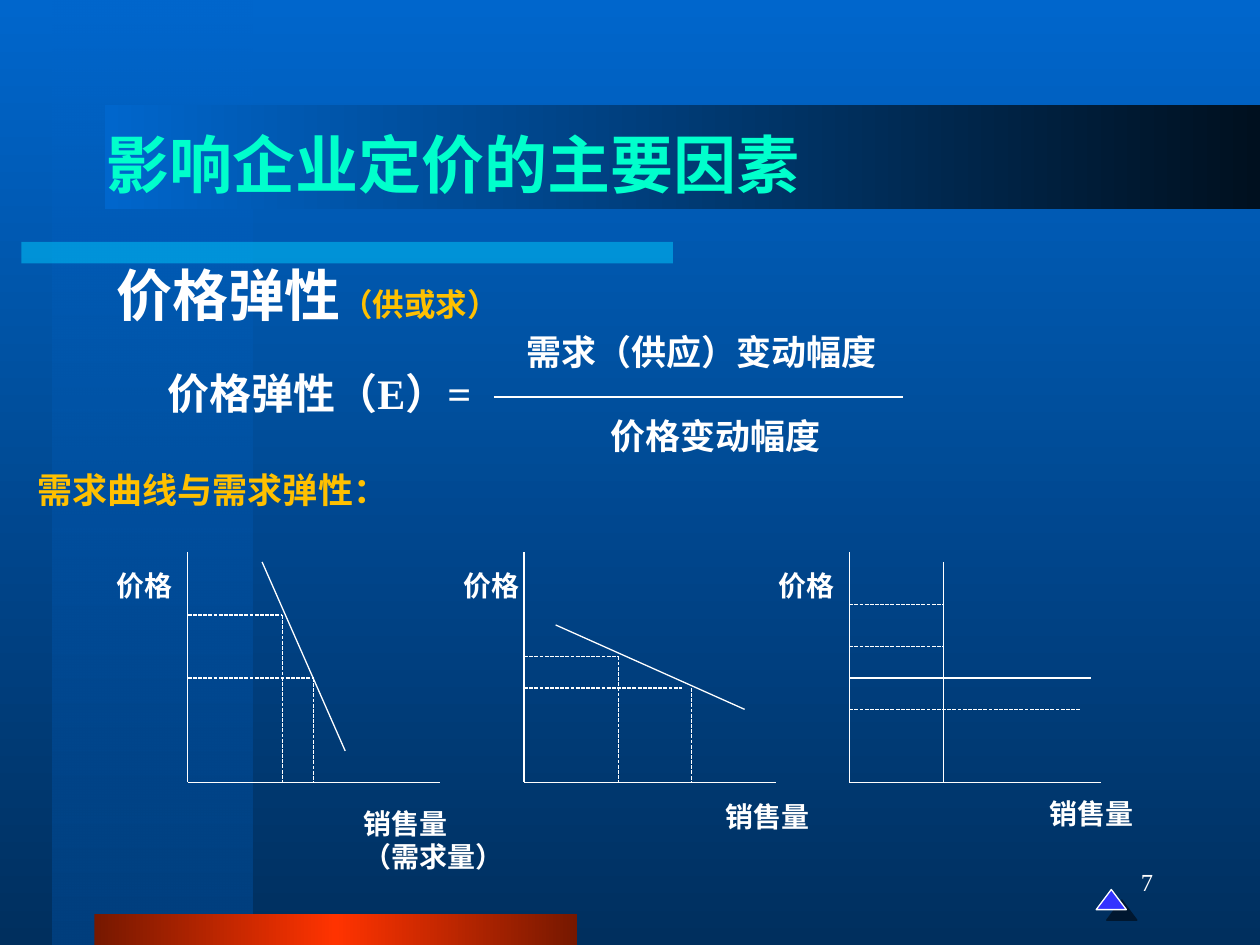
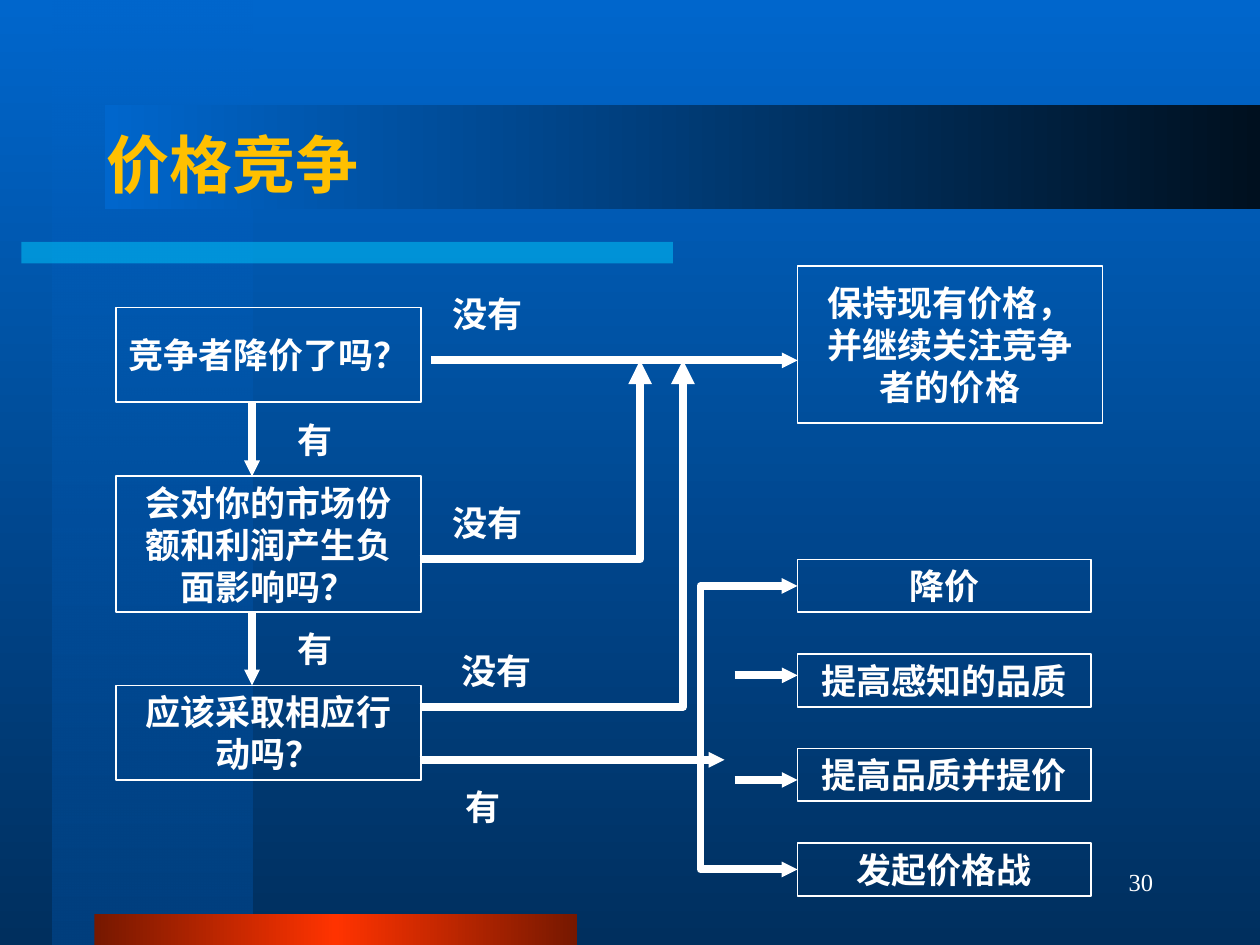
import pptx
import pptx.dml.color
import pptx.enum.dml
import pptx.enum.shapes
import pptx.enum.text
import pptx.oxml
import pptx.oxml.ns
import pptx.util
from pptx.util import Inches

WHITE, GOLD, MINT = "FFFFFF", "FFC000", "00FFCC"
SERIF, SANS, CHINESE = "Times New Roman", "Arial", "Noto Sans CJK SC"
SHAPES = pptx.enum.shapes.MSO_SHAPE
ALIGN = pptx.enum.text.PP_ALIGN
ANCHOR = pptx.enum.text.MSO_ANCHOR

# Shared look: gradients are (position %, colour, opacity %) stops and an angle
BACKGROUND = ([(0, "0066CC", 100), (100, "002F5E", 100)], 90)
BANDS = [
    ((0.42, 0, 1.58, 7.5), [(0, "0066CC", 50), (100, "003F7E", 100)], 90),
    ((0.17, 1.92, 5.17, 0.17), [(0, "00CCFF", 50), (100, "00CCFF", 50)], 0),
    ((0.75, 7.25, 3.83, 0.25),
     [(0, "761800", 100), (50, "FF3300", 100), (100, "761800", 100)], 0),
    ((0.83, 0.83, 9.17, 0.83), [(0, "0066CC", 100), (100, "00101F", 100)], 0),
]

# Slide 1: the elasticity formula and three demand graphs
FORMULA = [
    ("价格弹性（E）=", (1.11, 2.87, 2.85, 0.5), 24),
    ("需求（供应）变动幅度", (4.07, 2.57, 3, 0.44), 20),
    ("价格变动幅度", (4.73, 3.24, 1.9, 0.44), 20),
]
FRACTION_BAR = (3.92, 3.15, 7.17, 3.15)
AXIS_TOP, AXIS_BOTTOM, AXIS_LENGTH = 4.38, 6.21, 2
GRAPHS = [  # levels run from the price axis to (x, y); drops run down from (x, y)
    {"axis": 1.49, "price": 0.83, "quantity": (2.79, 6.35, 1.51, 0.64),
     "labels": ["销售量", "（需求量）"],
     "curves": [(2.08, 4.46, 2.74, 5.96)],
     "levels": [(2.24, 4.88), (2.49, 5.38)],
     "drops": [(2.24, 4.88), (2.49, 5.38)]},
    {"axis": 4.16, "price": 3.58, "quantity": (5.66, 6.3, 1, 0.37),
     "labels": ["销售量"],
     "curves": [(4.41, 4.96, 5.91, 5.63)],
     "levels": [(4.91, 5.21), (5.41, 5.46)],
     "drops": [(4.91, 5.21), (5.49, 5.46)]},
    {"axis": 6.74, "price": 6.08, "quantity": (8.23, 6.27, 1, 0.37),
     "labels": ["销售量"],
     "curves": [(7.49, 4.46, 7.49, 6.21), (6.74, 5.38, 8.66, 5.38)],
     "levels": [(7.49, 4.8), (7.49, 5.13), (8.58, 5.63)],
     "drops": []},
]

# Slide 2: the decision flow
DECISIONS = [
    ("竞争者降价了吗？", (0.92, 2.44, 2.42, 0.75), False),
    ("会对你的市场份额和利润产生负面影响吗？", (0.92, 3.78, 2.42, 1.08), True),
    ("应该采取相应行动吗？", (0.92, 5.44, 2.42, 0.75), True),
    ("保持现有价格，并继续关注竞争者的价格", (6.33, 2.11, 2.42, 1.25), True),
]
RESPONSES = ["降价", "提高感知的品质", "提高品质并提价", "发起价格战"]
RESPONSE_LEFT, RESPONSE_TOP, RESPONSE_STEP = 6.33, 4.44, 0.75
RESPONSE_SIZE = (2.33, 0.42)
ANSWER_SIZE = (0.9, 0.42)
ANSWERS = [  # text, horizontal centre, top
    ("没有", 3.87, 2.28), ("有", 2.5, 3.28), ("有", 2.5, 4.94),
    ("没有", 3.87, 3.94), ("没有", 3.94, 5.11), ("有", 3.83, 6.19),
]
ARROWS = [
    (3.42, 2.86, 6.33, 2.86), (2, 3.19, 2, 3.78), (2, 4.86, 2, 5.44),
    (3.33, 6.03, 5.75, 6.03), (5.83, 5.36, 6.33, 5.36), (5.83, 6.19, 6.33, 6.19),
]
NO_PATHS = [
    [(3.33, 4.44), (5.08, 4.44), (5.08, 2.86)],
    [(3.33, 5.61), (5.42, 5.61), (5.42, 2.86)],
]
RESPONSE_BRACKET = [(6.33, 4.65), (5.56, 4.65), (5.56, 6.9), (6.33, 6.9)]


def color(value):
    return pptx.dml.color.RGBColor.from_string(value)


def append_xml(parent, tag, **attributes):
    child = parent.makeelement(pptx.oxml.ns.qn(tag), attributes)
    parent.append(child)
    return child


def append_color(parent, value, opacity):
    element = append_xml(parent, "a:srgbClr", val=value)
    if opacity < 100:
        append_xml(element, "a:alpha", val=str(opacity * 1000))


def set_gradient(fill, owner, stops, angle):
    """Fill with a gradient; owner is the element that holds the fill."""
    fill.gradient()
    fill.gradient_angle = -angle % 360
    stop_list = owner.find(".//" + pptx.oxml.ns.qn("a:gsLst"))
    for stop in list(stop_list):
        stop_list.remove(stop)
    for position, value, opacity in stops:
        stop = append_xml(stop_list, "a:gs", pos=str(position * 1000))
        append_color(stop, value, opacity)


def set_line(shape, width, ends=(), end_size="sm"):
    """Draw a white outline; ends names the arrowheads, a:headEnd before a:tailEnd."""
    shape.line.color.rgb = color(WHITE)
    shape.line.width = pptx.util.Pt(width)
    outline = shape.element.spPr.find(pptx.oxml.ns.qn("a:ln"))
    for end in ends:
        append_xml(outline, end, type="triangle", w=end_size, len=end_size)


def add_run(paragraph, text, size, value=WHITE, font=SERIF, bold=True):
    run = paragraph.add_run()
    run.text = text
    run.font.size = pptx.util.Pt(size)
    run.font.bold = bold
    run.font.color.rgb = color(value)
    run.font.name = font
    append_xml(run.font._element, "a:ea", typeface=CHINESE)


def write(shape, paragraphs, align=ALIGN.LEFT, anchor=ANCHOR.TOP, wrap=False):
    """Fill a shape with paragraphs, each a list of argument tuples for add_run."""
    frame = shape.text_frame
    frame.word_wrap = wrap
    frame.vertical_anchor = anchor
    for index, runs in enumerate(paragraphs):
        paragraph = frame.add_paragraph() if index else frame.paragraphs[0]
        paragraph.alignment = align
        for run in runs:
            add_run(paragraph, *run)


def add_text(slide, box, paragraphs, **layout):
    write(slide.shapes.add_textbox(*map(Inches, box)), paragraphs, **layout)


def add_shape(slide, kind, box):
    shape = slide.shapes.add_shape(kind, *map(Inches, box))
    shape.shadow.inherit = False
    return shape


def add_line(slide, points, width=0.75, dotted=False, ends=()):
    line = slide.shapes.add_connector(
        pptx.enum.shapes.MSO_CONNECTOR.STRAIGHT, *map(Inches, points))
    if dotted:
        line.line.dash_style = pptx.enum.dml.MSO_LINE.SQUARE_DOT
    set_line(line, width, ends)
    append_xml(line.element.spPr, "a:effectLst")


def add_path(slide, points, ends, end_size):
    start, *others = [(Inches(x), Inches(y)) for x, y in points]
    builder = slide.shapes.build_freeform(*start)
    builder.add_line_segments(others, close=False)
    shape = builder.convert_to_shape()
    shape.shadow.inherit = False
    shape.fill.background()
    set_line(shape, 4.5, ends, end_size)


def add_flow_box(slide, text, box, wrap=False):
    shape = add_shape(slide, SHAPES.RECTANGLE, box)
    shape.fill.background()
    set_line(shape, 1)
    write(shape, [[(text, 20)]], ALIGN.CENTER, ANCHOR.MIDDLE, wrap)


def add_base_slide(presentation, title, title_color, number):
    slide = presentation.slides.add_slide(presentation.slide_layouts[6])
    set_gradient(slide.background.fill, slide.element, *BACKGROUND)
    for box, stops, angle in BANDS:
        band = add_shape(slide, SHAPES.RECTANGLE, box)
        set_gradient(band.fill, band.element, stops, angle)
        band.line.fill.background()
    add_text(slide, (0.75, 0.67, 8.5, 1.25), [[(title, 36, title_color, CHINESE)]],
             anchor=ANCHOR.MIDDLE, wrap=True)
    add_text(slide, (7.17, 6.83, 2.08, 0.5), [[(number, 14, WHITE, SERIF, False)]],
             align=ALIGN.RIGHT, wrap=True)
    return slide


def add_graph(slide, graph):
    axis = graph["axis"]
    add_line(slide, (axis, AXIS_TOP, axis, AXIS_BOTTOM))
    add_line(slide, (axis, AXIS_BOTTOM, axis + AXIS_LENGTH, AXIS_BOTTOM))
    add_text(slide, (graph["price"], 4.46, 0.7, 0.37), [[("价格", 16)]])
    add_text(slide, graph["quantity"], [[(label, 16)] for label in graph["labels"]],
             wrap=True)
    for curve in graph["curves"]:
        add_line(slide, curve)
    for x, y in graph["levels"]:
        add_line(slide, (axis, y, x, y), dotted=True)
    for x, y in graph["drops"]:
        add_line(slide, (x, y, x, AXIS_BOTTOM), dotted=True)


def add_corner_triangle(slide):
    triangle = add_shape(slide, SHAPES.ISOSCELES_TRIANGLE, (8.7, 7.06, 0.24, 0.16))
    triangle.fill.solid()
    triangle.fill.fore_color.rgb = color("3333FF")
    set_line(triangle, 0.75)
    effects = triangle.element.spPr.find(pptx.oxml.ns.qn("a:effectLst"))
    shadow = append_xml(effects, "a:outerShdw", dist=str(pptx.util.Pt(8.5)),
                        dir=str(45 * 60000), algn="ctr", rotWithShape="0")
    append_color(shadow, "000000", 50)


def build_elasticity_slide(presentation):
    slide = add_base_slide(presentation, "影响企业定价的主要因素", MINT, "7")
    add_text(slide, (0.83, 2.02, 8.5, 4.5),
             [[("价格弹性", 32), ("（供或求）", 18, GOLD, SANS)]], wrap=True)
    for text, box, size in FORMULA:
        add_text(slide, box, [[(text, size)]], align=ALIGN.CENTER)
    add_line(slide, FRACTION_BAR)
    add_text(slide, (0.2, 3.67, 3.39, 0.44),
             [[("需求曲线与需求弹性：", 20, GOLD, CHINESE)]], wrap=True)
    for graph in GRAPHS:
        add_graph(slide, graph)
    add_corner_triangle(slide)


def build_competition_slide(presentation):
    slide = add_base_slide(presentation, "价格竞争", GOLD, "30")
    for text, box, wrap in DECISIONS:
        add_flow_box(slide, text, box, wrap)
    for index, text in enumerate(RESPONSES):
        top = RESPONSE_TOP + index * RESPONSE_STEP
        add_flow_box(slide, text, (RESPONSE_LEFT, top, *RESPONSE_SIZE))
    for text, center, top in ANSWERS:
        left = center - ANSWER_SIZE[0] / 2
        add_text(slide, (left, top, *ANSWER_SIZE), [[(text, 20)]],
                 align=ALIGN.CENTER, anchor=ANCHOR.MIDDLE)
    for arrow in ARROWS:
        add_line(slide, arrow, 4.5, ends=["a:tailEnd"])
    for points in NO_PATHS:
        add_path(slide, points, ["a:tailEnd"], "med")
    add_path(slide, RESPONSE_BRACKET, ["a:headEnd", "a:tailEnd"], "sm")


def main():
    presentation = pptx.Presentation()
    presentation.slide_width = Inches(10)
    presentation.slide_height = Inches(7.5)
    build_elasticity_slide(presentation)
    build_competition_slide(presentation)
    presentation.save("out.pptx")


if __name__ == "__main__":
    main()
